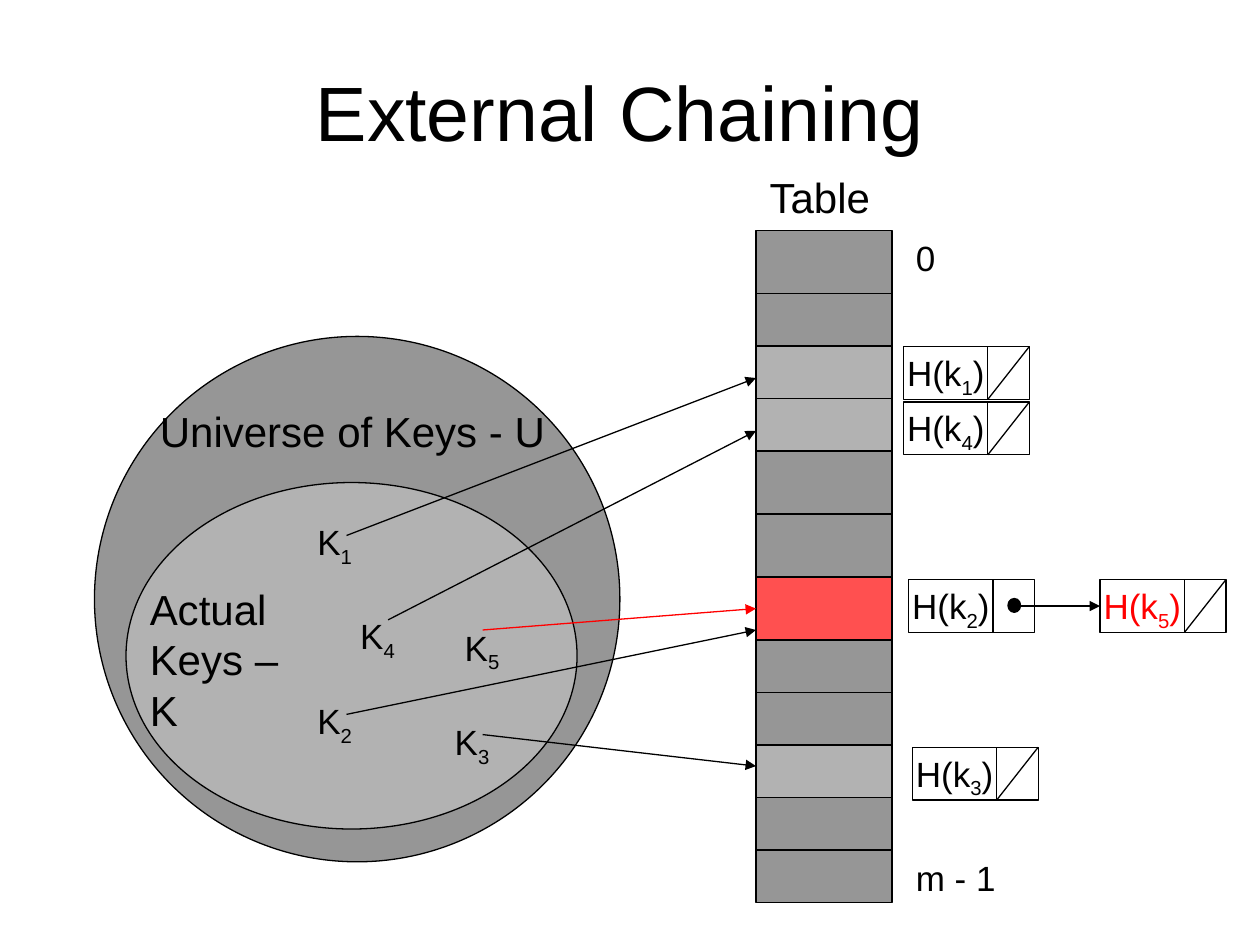
from itertools import accumulate

from lxml import etree
from pptx import Presentation
from pptx.dml.color import RGBColor
from pptx.enum.shapes import MSO_CONNECTOR, MSO_SHAPE
from pptx.enum.text import MSO_ANCHOR, MSO_AUTO_SIZE, PP_ALIGN
from pptx.oxml.ns import qn
from pptx.util import Inches, Pt

RECTANGLE, OVAL = MSO_SHAPE.RECTANGLE, MSO_SHAPE.OVAL
STRAIGHT = MSO_CONNECTOR.STRAIGHT
MIDDLE, CENTER = MSO_ANCHOR.MIDDLE, PP_ALIGN.CENTER
NO_FIT = MSO_AUTO_SIZE.NONE

BLACK = RGBColor(0x00, 0x00, 0x00)
RED = RGBColor(0xFF, 0x00, 0x00)
DARK_GRAY = RGBColor(0x96, 0x96, 0x96)
LIGHT_GRAY = RGBColor(0xB2, 0xB2, 0xB2)
CORAL = RGBColor(0xFF, 0x50, 0x50)
FONT = "Arial"
LEFT_SIDE = 1

TITLE = "External Chaining"
SETS = [
    ((0.75, 2.67, 4.17, 4.17), DARK_GRAY),
    ((1, 3.83, 3.58, 2.75), LIGHT_GRAY),
]
LABELS = [
    (["Universe of Keys - U"], (1.17, 3.17, 3.25, 0.5), 24),
    (["Actual", "Keys –", "K"], (1.09, 4.58, 1.22, 1.3), 24),
    (["Table"], (6.01, 1.31, 1.03, 0.5), 24),
    (["0"], (7.17, 1.83, 0.35, 0.44), 20),
    (["m - 1"], (7.17, 6.75, 0.83, 0.44), 20),
]
KEYS = [
    ("1", (2.42, 4.08)),
    ("5", (3.59, 4.92)),
    ("4", (2.76, 4.83)),
    ("2", (2.42, 5.5)),
    ("3", (3.51, 5.67)),
]
TABLE_LEFT, TABLE_TOP, TABLE_WIDTH = 6, 1.83, 1.08
SLOT_TWELFTHS = [6, 5, 5, 5, 6, 6, 6, 5, 5, 5, 5, 5]
COLLISION_SLOT = 6
FILLED_SLOTS = {2: LIGHT_GRAY, 3: LIGHT_GRAY, COLLISION_SLOT: CORAL, 9: LIGHT_GRAY}
HASH_ARROWS = [
    ((2.75, 4.25), 3),
    ((3.08, 4.92), 3.42),
    ((2.75, 5.67), 5),
    ((3.83, 5.83), 6.08),
]
COLLISION_START = (3.83, 5)
NODES = [
    ("1", (7.17, 2.75), BLACK, True),
    ("4", (7.17, 3.19), BLACK, True),
    ("2", (7.21, 4.6), BLACK, False),
    ("5", (8.73, 4.6), RED, True),
    ("3", (7.24, 5.93), BLACK, True),
]
NODE_WIDTH, NODE_HEIGHT, NODE_SPLIT = 1, 0.42, 0.67
POINTER_START = (8.04, 4.81)
POINTER_DOT = (8, 4.75, 0.1, 0.11)

deck = Presentation()
deck.slide_width, deck.slide_height = Inches(10), Inches(7.5)
page = deck.slides.add_slide(deck.slide_layouts[5])


def lengths(numbers):
    return [Inches(number) for number in numbers]


def add_figure(kind, area, fill=None):
    figure = page.shapes.add_shape(kind, *lengths(area))
    figure.shadow.inherit = False
    if fill is None:
        figure.fill.background()
    else:
        figure.fill.solid()
        figure.fill.fore_color.rgb = fill
    figure.line.color.rgb = BLACK
    figure.line.width = Pt(0.75)
    return figure


def add_line(start, end, color=BLACK, arrow=False):
    line = page.shapes.add_connector(STRAIGHT, *lengths(start + end))
    line.line.color.rgb = color
    line.line.width = Pt(0.75)
    if arrow:
        outline = line.line._get_or_add_ln()
        etree.SubElement(outline, qn("a:tailEnd"), type="triangle")
    etree.SubElement(line._element.spPr, qn("a:effectLst"))
    return line


def style(para, size, color=BLACK):
    para.font.name = FONT
    para.font.size = Pt(size)
    para.font.color.rgb = color


def add_text(lines, area, size, color=BLACK):
    box = page.shapes.add_textbox(*lengths(area))
    frame = box.text_frame
    frame.word_wrap = True
    frame.auto_size = NO_FIT
    frame.margin_right = 0
    frame.text = "\n".join(lines)
    for para in frame.paragraphs:
        style(para, size, color)
    return frame.paragraphs[0]


def add_subscripted(before, index, after, area, color=BLACK):
    para = add_text([before], area, 20, color)
    span = para.add_run()
    span.text = index
    span.font._element.set("baseline", "-25000")
    if after:
        para.add_run().text = after


title = page.shapes.title
title.left, title.top, title.width, title.height = lengths((0.67, 0.25, 8.5, 1.25))
title.text_frame.text = TITLE
title.text_frame.vertical_anchor = MIDDLE
title.text_frame.auto_size = NO_FIT
title_para = title.text_frame.paragraphs[0]
title_para.alignment = CENTER
style(title_para, 44)

for area, fill in SETS:
    add_figure(OVAL, area, fill)
for lines, area, size in LABELS:
    add_text(lines, area, size)
for index, corner in KEYS:
    add_subscripted("K", index, "", corner + (0.47, 0.48))

slot_heights = [twelfths / 12 for twelfths in SLOT_TWELFTHS]
edges = list(accumulate(slot_heights, initial=TABLE_TOP))
table_right = TABLE_LEFT + TABLE_WIDTH
add_figure(RECTANGLE, (TABLE_LEFT, TABLE_TOP, TABLE_WIDTH, sum(slot_heights)), DARK_GRAY)
for edge in edges[1:-1]:
    add_line((TABLE_LEFT, edge), (table_right, edge))
slots = {
    slot: add_figure(RECTANGLE, (TABLE_LEFT, edges[slot], TABLE_WIDTH, slot_heights[slot]), fill)
    for slot, fill in FILLED_SLOTS.items()
}

for start, height in HASH_ARROWS:
    add_line(start, (TABLE_LEFT, height), arrow=True)
collision = add_line(COLLISION_START, (TABLE_LEFT, 4.83), RED, arrow=True)
collision.end_connect(slots[COLLISION_SLOT], LEFT_SIDE)

node_boxes = {}
for index, (left, top), color, is_last in NODES:
    split, right, bottom = left + NODE_SPLIT, left + NODE_WIDTH, top + NODE_HEIGHT
    add_subscripted("H(k", index, ")", (left - 0.07, top - 0.01, 0.81, 0.48), color)
    node_boxes[index] = add_figure(RECTANGLE, (left, top, NODE_WIDTH, NODE_HEIGHT))
    add_line((split, top), (split, bottom))
    if is_last:
        add_line((split, bottom), (right, top))

pointer = add_line(POINTER_START, (8.73, 4.81), arrow=True)
pointer.end_connect(node_boxes["5"], LEFT_SIDE)
add_figure(OVAL, POINTER_DOT, BLACK)

deck.save("out.pptx")
